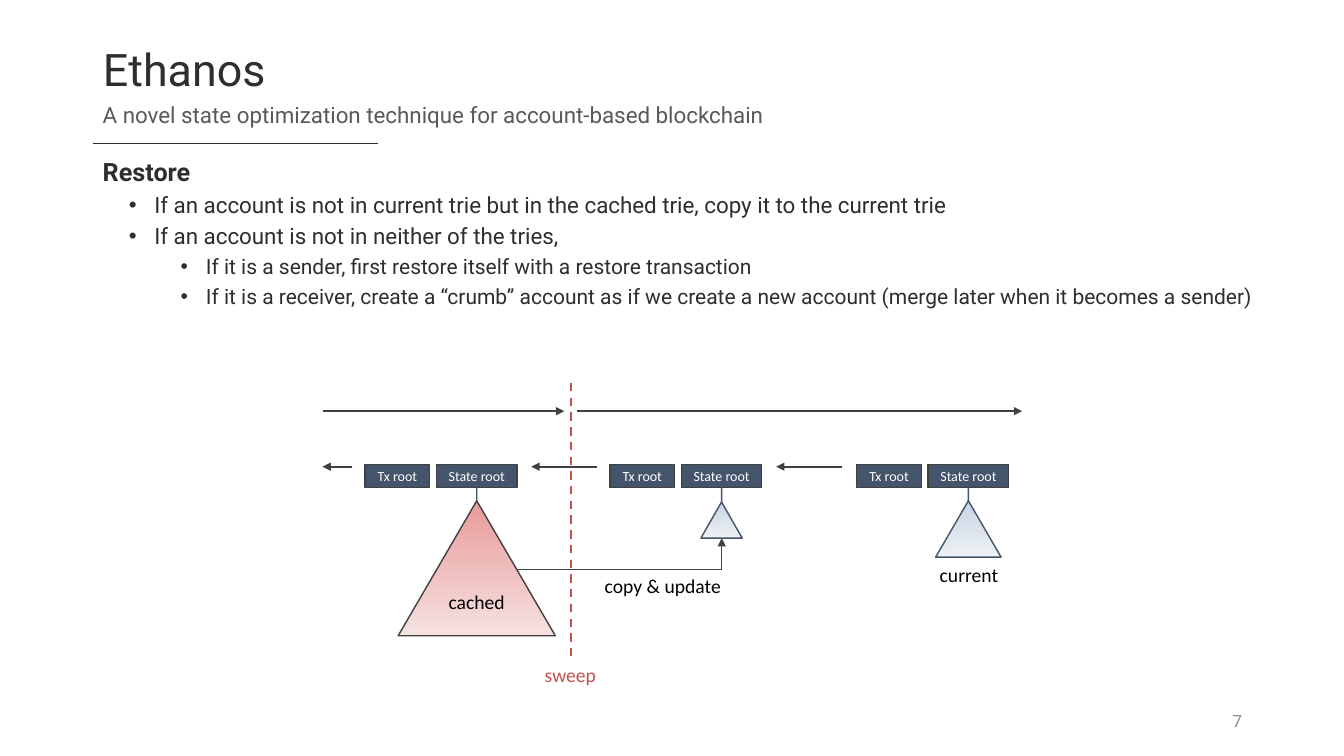
from lxml.etree import SubElement
from pptx import Presentation
from pptx.dml.color import RGBColor
from pptx.enum.dml import MSO_LINE
from pptx.enum.shapes import MSO_CONNECTOR, MSO_SHAPE
from pptx.enum.text import MSO_ANCHOR, MSO_AUTO_SIZE, PP_ALIGN
from pptx.oxml.ns import qn
from pptx.util import Cm, Pt

INK = "2E2D31"
DARK = "404040"
SLATE = "44546A"
RED = "C1514D"


def write(paragraph, text, size, color, font="Calibri", bold=False):
    run = paragraph.add_run()
    run.text = text
    run.font.name = font
    run.font.size = Pt(size)
    run.font.bold = bold
    run.font.color.rgb = RGBColor.from_string(color)


def connect(x1, y1, x2, y2, color, width, arrow=False, kind=MSO_CONNECTOR.STRAIGHT):
    connector = slide.shapes.add_connector(kind, Cm(x1), Cm(y1), Cm(x2), Cm(y2))
    connector.line.color.rgb = RGBColor.from_string(color)
    connector.line.width = Pt(width)
    if arrow:
        SubElement(connector.line._get_or_add_ln(), qn("a:tailEnd"), type="triangle")
    SubElement(connector._element.spPr, qn("a:effectLst"))
    return connector


presentation = Presentation()
presentation.slide_width = Cm(33.87)
presentation.slide_height = Cm(19.05)
slide = presentation.slides.add_slide(presentation.slide_layouts[5])

connect(2.34, 3.61, 9.53, 3.61, INK, 0.5)

title = slide.shapes.title
title.left, title.top, title.width, title.height = Cm(2.34), Cm(1.17), Cm(29.21), Cm(1.3)
title.text_frame.auto_size = MSO_AUTO_SIZE.NONE
title.text_frame.vertical_anchor = MSO_ANCHOR.MIDDLE
paragraph = title.text_frame.paragraphs[0]
paragraph.alignment = PP_ALIGN.JUSTIFY
paragraph.line_spacing = 0.9
write(paragraph, "Ethanos", 32, INK, "Roboto")

body = slide.shapes.add_textbox(Cm(2.34), Cm(3.91), Cm(30.58), Cm(13.26))
body.text_frame.word_wrap = True
paragraph = body.text_frame.paragraphs[0]
paragraph.line_spacing = 0.9
write(paragraph, "Restore", 18, INK, "Roboto", True)

bullets = [
    (1, "If an account is not in current trie but in the cached trie, copy it to the current trie"),
    (1, "If an account is not in neither of the tries,"),
    (2, "If it is a sender, first restore itself with a restore transaction"),
    (2, "If it is a receiver, create a “crumb” account as if we create a new account "
        "(merge later when it becomes a sender)"),
]
for level, text in bullets:
    paragraph = body.text_frame.add_paragraph()
    properties = paragraph._p.get_or_add_pPr()
    properties.set("marL", str(Cm(1.3 * level)))
    properties.set("indent", str(Cm(-0.64)))
    SubElement(properties, qn("a:buFont"), typeface="Arial")
    SubElement(properties, qn("a:buChar"), char="•")
    paragraph.level = level
    paragraph.line_spacing = 0.9
    paragraph.space_before = Pt(5)
    write(paragraph, text, 17 - level if level == 1 else 15, INK, "Roboto")

blocks = [
    (11, 12.62, 3.96, 3.4, DARK, "E79B99", "F6E1E1", "cached"),
    (17.17, 12.65, 1.04, 0.91, SLATE, "C9D4E3", "EDF1F5", ""),
    (23.39, 12.62, 1.65, 1.42, SLATE, "C9D4E3", "EDF1F5", ""),
]
for left, top, width, height, outline, light_top, light_bottom, name in blocks:
    for offset, root_width, label in [(-1.8, 1.63, "Tx root"), (0, 2.03, "State root")]:
        root = slide.shapes.add_shape(
            MSO_SHAPE.RECTANGLE, Cm(left + offset), Cm(11.71), Cm(root_width), Cm(0.58))
        root.shadow.inherit = False
        root.fill.solid()
        root.fill.fore_color.rgb = RGBColor.from_string(SLATE)
        root.line.color.rgb = RGBColor.from_string(DARK)
        root.line.width = Pt(1)
        root.text_frame.vertical_anchor = MSO_ANCHOR.MIDDLE
        paragraph = root.text_frame.paragraphs[0]
        paragraph.alignment = PP_ALIGN.CENTER
        write(paragraph, label, 10, "FFFFFF")

    center = left + 2.03 / 2
    trie = slide.shapes.add_shape(
        MSO_SHAPE.ISOSCELES_TRIANGLE, Cm(center - width / 2), Cm(top), Cm(width), Cm(height))
    trie.shadow.inherit = False
    trie.fill.gradient()
    trie.fill.gradient_angle = 270
    for stop, color in zip(trie.fill.gradient_stops, (light_top, light_bottom)):
        stop.color.rgb = RGBColor.from_string(color)
    trie.line.color.rgb = RGBColor.from_string(outline)
    trie.line.width = Pt(1)
    if name:
        frame = trie.text_frame
        frame.margin_left = frame.margin_right = 0
        frame.vertical_anchor = MSO_ANCHOR.MIDDLE
        frame.paragraphs[0].alignment = PP_ALIGN.CENTER
        write(frame.paragraphs[0], name, 14, "000000")

    stem = connect(center, top, center, 12.29, SLATE, 1)
    stem.begin_connect(trie, 0)
    stem.end_connect(root, 2)

arrows = [
    (8.86, 8.13, 11.76),
    (15.04, 13.39, 11.76),
    (21.23, 19.56, 11.76),
    (8.13, 14.22, 10.36),
    (14.53, 25.76, 10.36),
]
for start, end, y in arrows:
    connect(start, y, end, y, DARK, 1.5, True)

sweep = connect(14.38, 9.65, 14.38, 16.69, RED, 1.5)
sweep.line.dash_style = MSO_LINE.DASH

update = connect(13, 14.35, 18.19, 13.56, DARK, 1, True, MSO_CONNECTOR.ELBOW)
update._element.spPr.find(qn("a:prstGeom")).set("prst", "bentConnector2")

captions = [
    (2.34, 2.46, 29.21, 0.84, "A novel state optimization technique for account-based blockchain",
     16, "595959", "Roboto", PP_ALIGN.JUSTIFY),
    (23.93, 17.65, 7.62, 1.02, "7", 12, "8C8C8C", "Roboto", PP_ALIGN.RIGHT),
    (13.46, 16.56, 1.83, 0.86, "sweep", 14, RED, "Calibri", PP_ALIGN.CENTER),
    (14.99, 14.33, 3.45, 0.86, "copy & update", 14, "000000", "Calibri", PP_ALIGN.LEFT),
    (22.63, 14.05, 3.58, 0.86, "current", 14, "000000", "Calibri", PP_ALIGN.CENTER),
]
for left, top, width, height, text, size, color, font, alignment in captions:
    caption = slide.shapes.add_textbox(Cm(left), Cm(top), Cm(width), Cm(height))
    caption.text_frame.word_wrap = True
    caption.text_frame.vertical_anchor = MSO_ANCHOR.MIDDLE
    paragraph = caption.text_frame.paragraphs[0]
    paragraph.alignment = alignment
    write(paragraph, text, size, color, font)

presentation.save("out.pptx")
